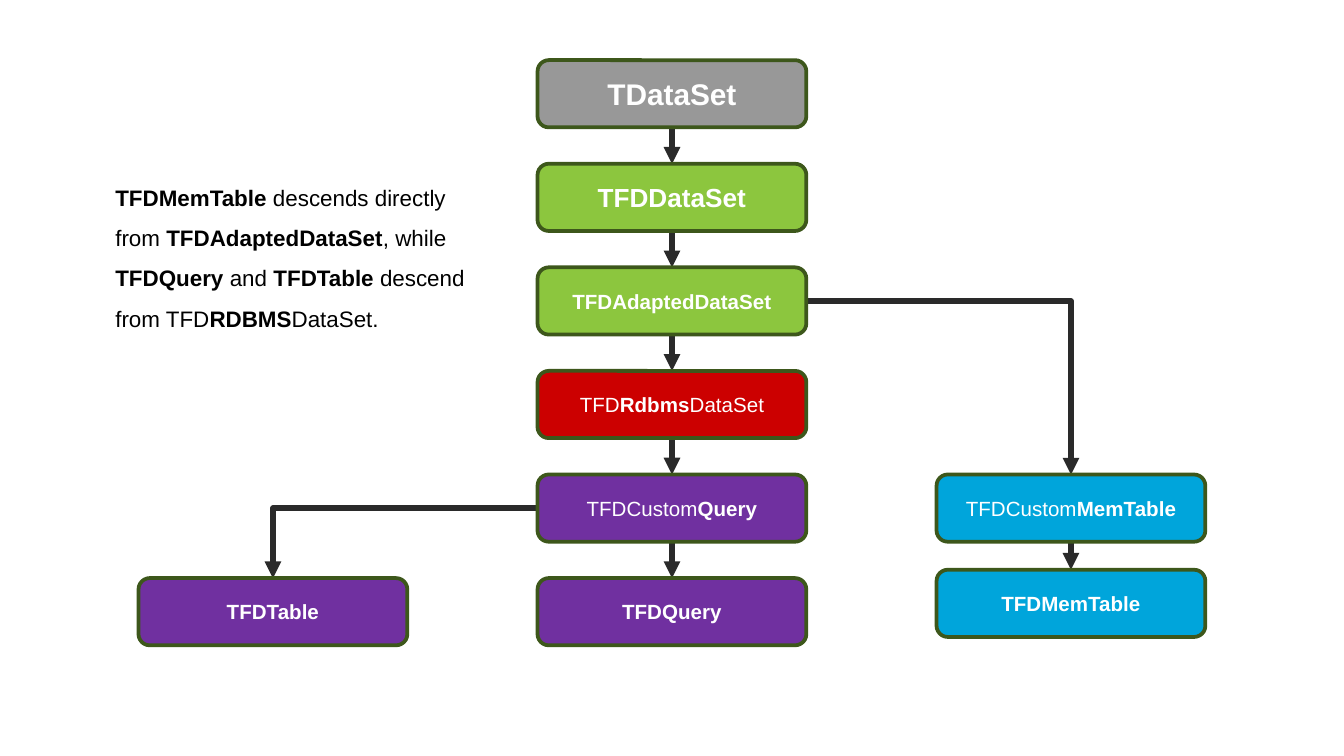
from lxml.etree import SubElement
from pptx import Presentation
from pptx.dml.color import RGBColor as RGB
from pptx.enum.shapes import MSO_CONNECTOR as CONN, MSO_SHAPE as SHAPE
from pptx.enum.text import MSO_ANCHOR as ANCHOR, MSO_AUTO_SIZE as AUTO, PP_ALIGN as ALIGN
from pptx.oxml.ns import qn
from pptx.util import Pt

THEME = {
    "font": "Arial", "text": "000000", "label": "FFFFFF", "border": "3D571B", "arrow": "2A2A2A",
    "base": "989898", "shared": "8CC63E", "rdbms": "CC0000", "query": "7030A0", "memory": "00A5DB",
    "note": 12, "small": 11, "medium": 14, "large": 16, "border_w": 2, "arrow_w": 3,
}
PX = 9525
WIDTH, HEIGHT = 960, 540
BOX_W, BOX_H = 192, 48
LEFT, MIDDLE, RIGHT = 99, 384, 669
TOP, STEP = 43, 74
TOP_SIDE, LEFT_SIDE, BOTTOM_SIDE, RIGHT_SIDE = range(4)

NOTE = ("**TFDMemTable** descends directly from **TFDAdaptedDataSet**, while **TFDQuery** and "
        "**TFDTable** descend from TFD**RDBMS**DataSet.")
NOTE_AREA = (73, 117, 280, 123)

CLASSES = [
    ("dataset", "**TDataSet**", MIDDLE, TOP, "base", "large"),
    ("fd", "**TFDDataSet**", MIDDLE, TOP + STEP, "shared", "medium"),
    ("adapted", "**TFDAdaptedDataSet**", MIDDLE, TOP + 2 * STEP, "shared", "small"),
    ("rdbms", "TFD**Rdbms**DataSet", MIDDLE, TOP + 3 * STEP, "rdbms", "small"),
    ("custom_query", "TFDCustom**Query**", MIDDLE, TOP + 4 * STEP, "query", "small"),
    ("query", "**TFDQuery**", MIDDLE, TOP + 5 * STEP, "query", "small"),
    ("table", "**TFDTable**", LEFT, TOP + 5 * STEP, "query", "small"),
    ("custom_mem", "TFDCustom**MemTable**", RIGHT, TOP + 4 * STEP, "memory", "small"),
    ("mem", "**TFDMemTable**", RIGHT, 407, "memory", "small"),
]
DESCENTS = [
    ("dataset", "fd", BOTTOM_SIDE),
    ("fd", "adapted", BOTTOM_SIDE),
    ("adapted", "rdbms", BOTTOM_SIDE),
    ("rdbms", "custom_query", BOTTOM_SIDE),
    ("custom_query", "query", BOTTOM_SIDE),
    ("custom_query", "table", LEFT_SIDE),
    ("adapted", "custom_mem", RIGHT_SIDE),
    ("custom_mem", "mem", BOTTOM_SIDE),
]


def px(*lengths):
    return [n * PX for n in lengths]


def color(name):
    return RGB.from_string(THEME[name])


def write(p, text, size, ink):
    for i, part in enumerate(text.split("**")):
        if part:
            r = p.add_run()
            r.text = part
            for key, value in {"name": THEME["font"], "size": Pt(THEME[size]), "bold": i % 2 == 1}.items():
                setattr(r.font, key, value)
            r.font.color.rgb = color(ink)


def add_class(s, text, left, top, fill, size):
    sp = s.shapes.add_shape(SHAPE.ROUNDED_RECTANGLE, *px(left, top, BOX_W, BOX_H))
    sp.shadow.inherit = False
    sp.fill.solid()
    sp.fill.fore_color.rgb = color(fill)
    sp.line.color.rgb = color("border")
    sp.line.width = Pt(THEME["border_w"])
    tf = sp.text_frame
    tf.vertical_anchor = ANCHOR.MIDDLE
    p = tf.paragraphs[0]
    p.alignment = ALIGN.CENTER
    write(p, text, size, "label")
    return sp


def add_descent(s, parent, child, side):
    straight = side == BOTTOM_SIDE
    cxn = s.shapes.add_connector(CONN.STRAIGHT if straight else CONN.ELBOW, 0, 0, 0, 0)
    cxn.begin_connect(parent, side)
    cxn.end_connect(child, TOP_SIDE)
    cxn.line.color.rgb = color("arrow")
    cxn.line.width = Pt(THEME["arrow_w"])
    sp_pr = cxn._element.spPr
    if not straight:
        sp_pr.find(qn("a:prstGeom")).set("prst", "bentConnector2")
    SubElement(sp_pr.find(qn("a:ln")), qn("a:tailEnd"), type="triangle")
    SubElement(sp_pr, qn("a:effectLst"))
    s.shapes._spTree.insert(2, cxn._element)


def add_note(s):
    tf = s.shapes.add_textbox(*px(*NOTE_AREA)).text_frame
    for key, value in {"word_wrap": True, "auto_size": AUTO.SHAPE_TO_FIT_TEXT}.items():
        setattr(tf, key, value)
    p = tf.paragraphs[0]
    p.line_spacing = 1.5
    write(p, NOTE, "note", "text")


def main():
    prs = Presentation()
    prs.slide_width, prs.slide_height = px(WIDTH, HEIGHT)
    s = prs.slides.add_slide(prs.slide_layouts[6])
    boxes = {key: add_class(s, *look) for key, *look in CLASSES}
    for parent, child, side in DESCENTS:
        add_descent(s, boxes[parent], boxes[child], side)
    add_note(s)
    prs.save("out.pptx")


if __name__ == "__main__":
    main()
